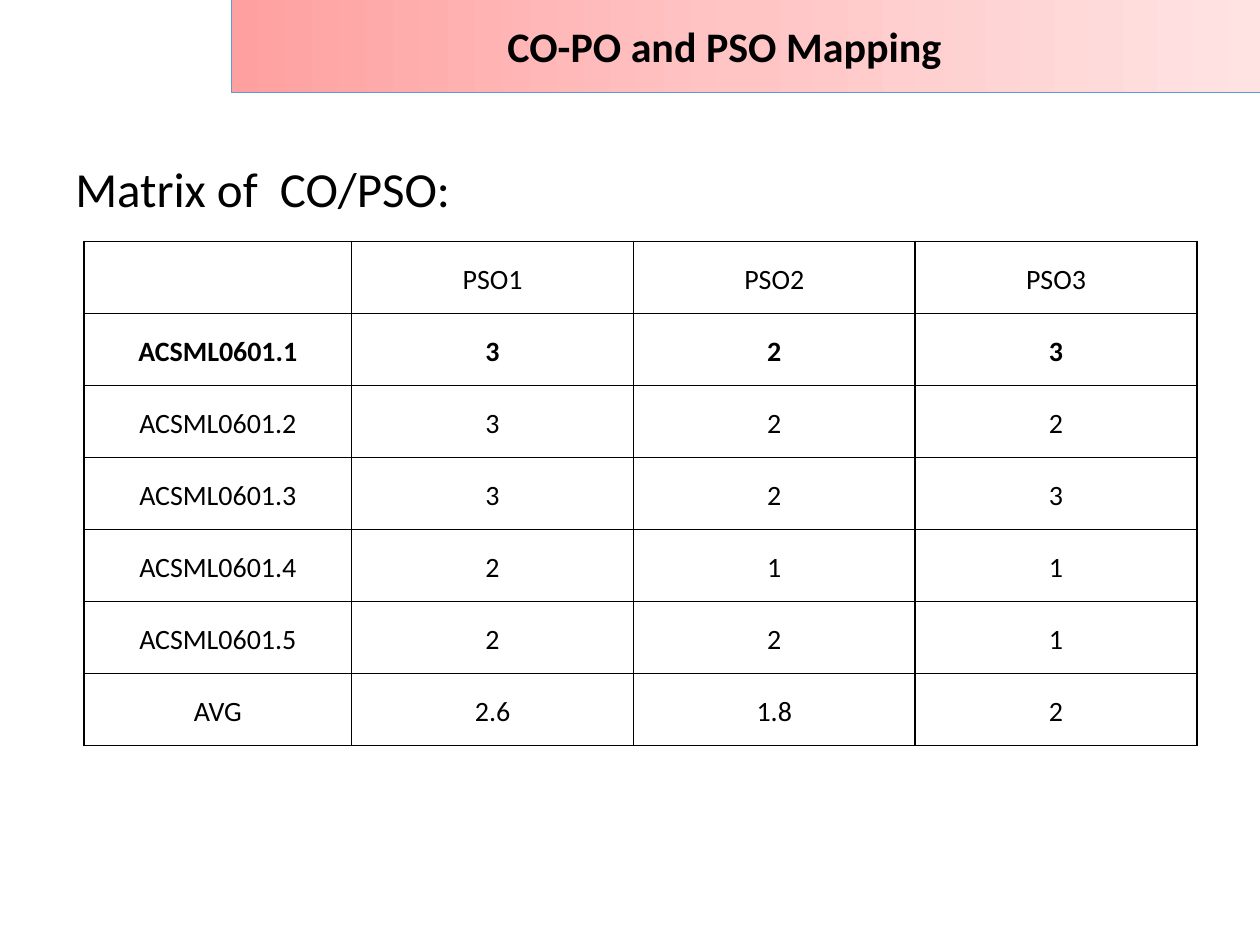
import pptx
import pptx.dml.color
import pptx.enum.shapes
import pptx.enum.text
import pptx.oxml
import pptx.oxml.ns
import pptx.util
from lxml import etree

Pt = pptx.util.Pt
ALIGN = pptx.enum.text.PP_ALIGN
MIDDLE = pptx.enum.text.MSO_ANCHOR.MIDDLE

COLORS = {
    "text": "000000",
    "border": "000000",
    "banner_line": "5B9BD5",
    "banner_start": "FFA0A0",
    "banner_middle": "FFC5C5",
    "banner_end": "FFE3E3",
}
FONT = "Calibri"
ROWS = [
    ["", "PSO1", "PSO2", "PSO3"],
    ["ACSML0601.1", "3", "2", "3"],
    ["ACSML0601.2", "3", "2", "2"],
    ["ACSML0601.3", "3", "2", "3"],
    ["ACSML0601.4", "2", "1", "1"],
    ["ACSML0601.5", "2", "2", "1"],
    ["AVG", "2.6", "1.8", "2"],
]
BOLD_ROW = 1


def rgb(name):
    return pptx.dml.color.RGBColor.from_string(COLORS[name])


def write_text(frame, text, size, bold=False, align=ALIGN.LEFT, spacing=None):
    frame.word_wrap = True
    paragraph = frame.paragraphs[0]
    paragraph.alignment = align
    paragraph.line_spacing = spacing
    paragraph.font.size = Pt(size)
    if text:
        run = paragraph.add_run()
        run.text = text
        run.font.name = FONT
        run.font.size = Pt(size)
        run.font.bold = bold
        run.font.color.rgb = rgb("text")


def add_label(slide, text, box, **text_format):
    shape = slide.shapes.add_textbox(*map(Pt, box))
    shape.text_frame.vertical_anchor = MIDDLE
    write_text(shape.text_frame, text, **text_format)


def fill_gradient(shape, names):
    shape.fill.gradient()
    shape.fill.gradient_angle = 0
    qn = pptx.oxml.ns.qn
    stops = shape.element.spPr.find(qn("a:gradFill")).find(qn("a:gsLst"))
    for stop in list(stops):
        stops.remove(stop)
    for index, name in enumerate(names):
        position = 100000 * index // (len(names) - 1)
        stop = etree.SubElement(stops, qn("a:gs"), pos=str(position))
        etree.SubElement(stop, qn("a:srgbClr"), val=COLORS[name])


def add_banner(slide, box):
    left, top, width, height = box
    shape = slide.shapes.add_shape(
        pptx.enum.shapes.MSO_SHAPE.RECTANGLE, *map(Pt, box))
    shape.shadow.inherit = False
    fill_gradient(shape, ["banner_start", "banner_middle", "banner_end"])
    shape.line.color.rgb = rgb("banner_line")
    shape.line.width = Pt(0.5)
    title_box = (left + 92, top + 7.2, 380, 40)
    add_label(slide, "CO-PO and PSO Mapping", title_box,
              size=24, bold=True, align=ALIGN.CENTER)


def add_borders(cell, width):
    properties = cell._tc.get_or_add_tcPr()
    for index, side in enumerate(["lnL", "lnR", "lnT", "lnB"]):
        border = pptx.oxml.parse_xml(
            f'<a:{side} {pptx.oxml.ns.nsdecls("a")} w="{Pt(width)}">'
            f'<a:solidFill><a:srgbClr val="{COLORS["border"]}"/></a:solidFill>'
            f'</a:{side}>')
        properties.insert(index, border)


def add_matrix(slide, box, first_width):
    left, top, width, height = box
    columns = len(ROWS[0])
    table = slide.shapes.add_table(len(ROWS), columns, *map(Pt, box)).table
    table.first_row = False
    table.horz_banding = False
    other_width = (width - first_width) / (columns - 1)
    for index, column in enumerate(table.columns):
        column.width = Pt(other_width if index else first_width)
    for row in table.rows:
        row.height = Pt(height / len(ROWS))
    for row_index, values in enumerate(ROWS):
        for column_index, value in enumerate(values):
            cell = table.cell(row_index, column_index)
            cell.fill.background()
            cell.vertical_anchor = MIDDLE
            cell.margin_left = cell.margin_right = Pt(5)
            cell.margin_top = cell.margin_bottom = Pt(0)
            write_text(cell.text_frame, value, size=16,
                       bold=row_index == BOLD_ROW,
                       align=ALIGN.CENTER, spacing=1.15)
            add_borders(cell, 1)


def main():
    presentation = pptx.Presentation()
    presentation.slide_width = Pt(720)
    presentation.slide_height = Pt(540)
    slide = presentation.slides.add_slide(presentation.slide_layouts[6])
    add_banner(slide, (132, -1, 588, 54))
    add_label(slide, "Matrix of  CO/PSO:", (36, 87, 684, 41), size=28)
    add_matrix(slide, (48, 138, 636, 288), first_width=153)
    presentation.save("out.pptx")


if __name__ == "__main__":
    main()
